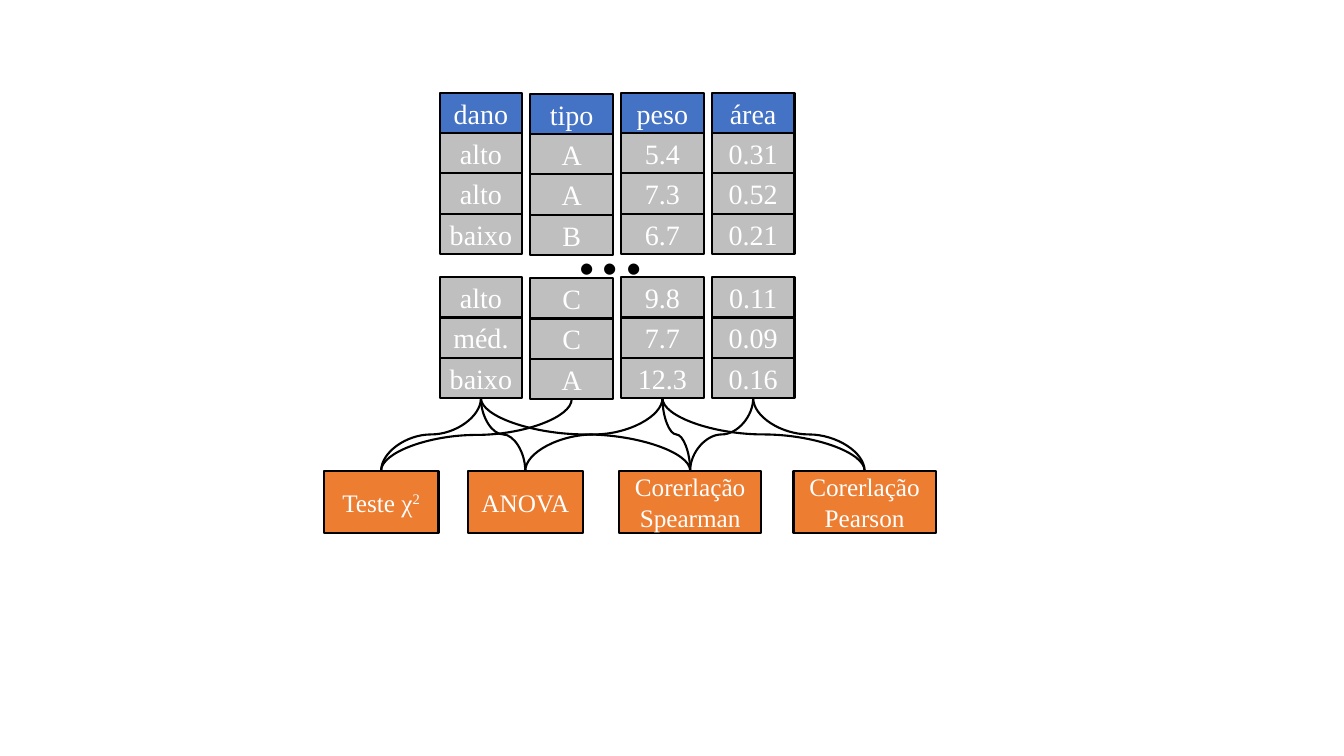
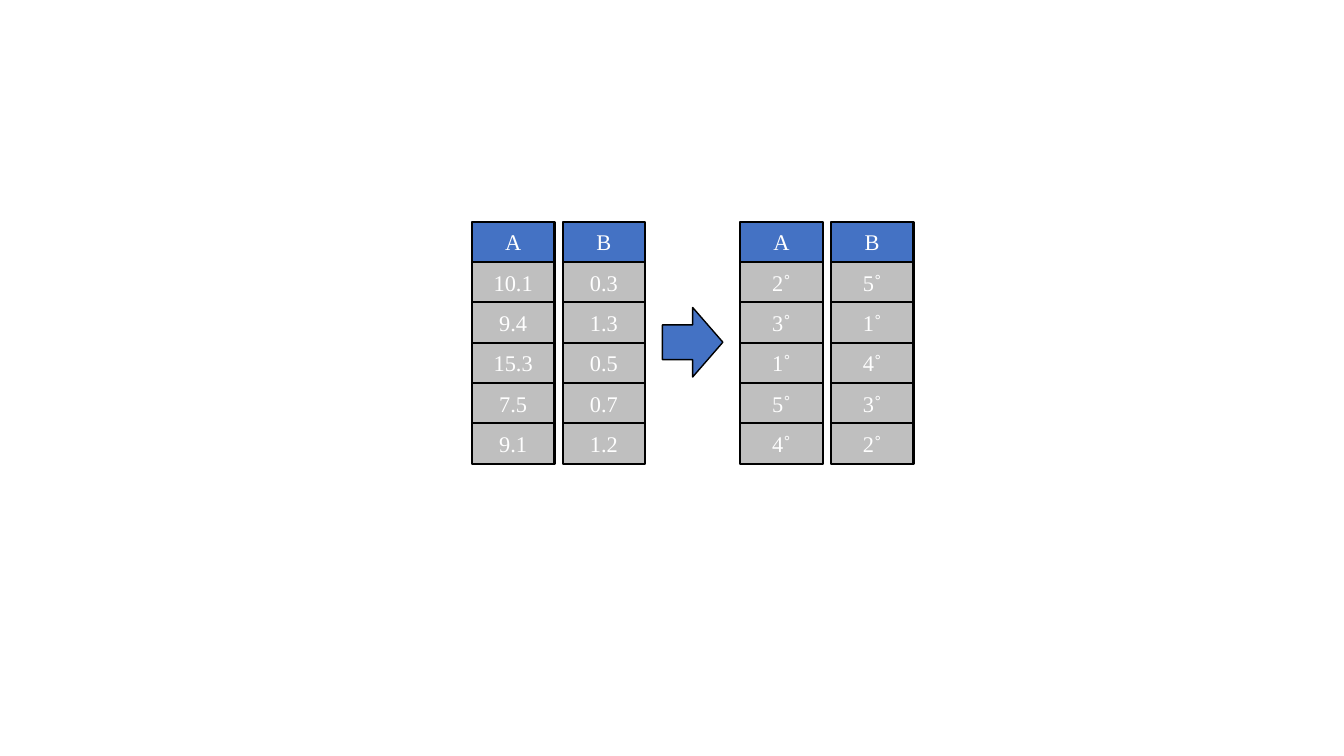
from pptx import Presentation
from pptx.dml.color import RGBColor
from pptx.enum.shapes import MSO_CONNECTOR, MSO_SHAPE
from pptx.enum.text import MSO_ANCHOR, MSO_AUTO_SIZE, PP_ALIGN
from pptx.oxml.ns import qn
from pptx.util import Inches, Pt
from lxml.etree import SubElement

# Shared style
BLUE, GRAY, ORANGE = "4472C4", "BFBFBF", "ED7D31"
BLACK, WHITE = "000000", "FFFFFF"
SERIF, SANS = "Times New Roman", "Calibri"
CELL_WIDTH, CELL_HEIGHT = 0.82, 0.4
COLUMN_STEP = 0.9


def color(hex_value):
    return RGBColor.from_string(hex_value)


class Painter:
    def __init__(self, deck):
        self.deck = deck
        self.page = None

    def new_page(self):
        self.page = self.deck.slides.add_slide(self.deck.slide_layouts[6])

    def style_text(self, frame, font, size, text_color):
        for para in frame.paragraphs:
            para.alignment = PP_ALIGN.CENTER
            for span in para.runs:
                span.font.name = font
                span.font.size = Pt(size)
                span.font.color.rgb = color(text_color)

    def shape(self, kind, left, top, width, height, fill, line_width=1.5):
        box = self.page.shapes.add_shape(
            kind, Inches(left), Inches(top), Inches(width), Inches(height))
        box.shadow.inherit = False
        box.fill.solid()
        box.fill.fore_color.rgb = color(fill)
        box.line.color.rgb = color(BLACK)
        box.line.width = Pt(line_width)
        return box

    def box(self, left, top, width, height, fill, text, size, superscript=""):
        box = self.shape(MSO_SHAPE.RECTANGLE, left, top, width, height, fill)
        frame = box.text_frame
        frame.word_wrap = True
        frame.vertical_anchor = MSO_ANCHOR.MIDDLE
        frame.margin_left = frame.margin_right = Inches(0.05)
        frame.text = text
        if superscript:
            span = frame.paragraphs[0].add_run()
            span.text = superscript
            span.font._element.set("baseline", "30000")
        self.style_text(frame, SERIF, size, WHITE)

    def column(self, left, top, header, values, size, split=None, gap=0):
        """Stack a header and its values, with a gap after `split` rows."""
        for row, text in enumerate([header] + values):
            shift = gap if split and row >= split else 0
            self.box(left, top + row * CELL_HEIGHT + shift, CELL_WIDTH,
                     CELL_HEIGHT, BLUE if row == 0 else GRAY, text, size)

    def label(self, left, top, width, height, text, size):
        box = self.page.shapes.add_textbox(
            Inches(left), Inches(top), Inches(width), Inches(height))
        frame = box.text_frame
        frame.word_wrap = True
        frame.auto_size = MSO_AUTO_SIZE.SHAPE_TO_FIT_TEXT
        frame.text = text
        self.style_text(frame, SANS, size, BLACK)

    def drop_curve(self, start_x, start_y, end_x, end_y):
        """Draw a curve that leaves and arrives vertically."""
        middle_x, middle_y = (start_x + end_x) / 2, (start_y + end_y) / 2
        half_drop, half_run = (end_y - start_y) / 2, abs(end_x - start_x) / 2
        rightward = end_x > start_x
        # The unrotated curve is flipped and turned a quarter around its centre
        reach = -half_drop if rightward else half_drop
        curve = self.page.shapes.add_connector(
            MSO_CONNECTOR.CURVE,
            Inches(middle_x - reach), Inches(middle_y - half_run),
            Inches(middle_x + reach), Inches(middle_y + half_run))
        curve.line.color.rgb = color(BLACK)
        curve.line.width = Pt(1.5)
        properties = curve._element.spPr
        properties.find(qn("a:xfrm")).set(
            "rot", "16200000" if rightward else "5400000")
        SubElement(properties, qn("a:effectLst"))


deck = Presentation()
deck.slide_width, deck.slide_height = Inches(13.33), Inches(7.5)
painter = Painter(deck)

# Slide 1: variables and the tests that relate them
painter.new_page()
variables = {
    "dano": (0.92, ["alto", "alto", "baixo", "alto", "méd.", "baixo"]),
    "tipo": (0.93, ["A", "A", "B", "C", "C", "A"]),
    "peso": (0.92, ["5.4", "7.3", "6.7", "9.8", "7.7", "12.3"]),
    "área": (0.92, ["0.31", "0.52", "0.21", "0.11", "0.09", "0.16"]),
}
ROW_GAP = 0.23
starts = {}
for index, (name, (top, values)) in enumerate(variables.items()):
    left = 4.36 + index * COLUMN_STEP
    painter.column(left, top, name, values, 20, split=4, gap=ROW_GAP)
    bottom = top + (len(values) + 1) * CELL_HEIGHT + ROW_GAP
    starts[name] = (left + CELL_WIDTH / 2, bottom)
painter.label(5.02, 1.76, 2.07, 1.21, "...", 66)

# Tests: left, width, text, superscript, variables used
TEST_TOP = 4.67
tests = [
    (3.21, 1.14, "Teste χ", "2", ["dano", "tipo"]),
    (4.64, 1.14, "ANOVA", "", ["dano", "peso"]),
    (6.14, 1.41, "Corerlação Spearman", "", ["dano", "peso", "área"]),
    (7.87, 1.41, "Corerlação Pearson", "", ["peso", "área"]),
]
for left, width, text, superscript, used in tests:
    painter.box(left, TEST_TOP, width, 0.62, ORANGE, text, 18, superscript)
    for name in used:
        painter.drop_curve(*starts[name], left + width / 2, TEST_TOP)

# Slide 2: values turned into ranks
painter.new_page()
tables = [
    (4.68, {"A": ["10.1", "9.4", "15.3", "7.5", "9.1"],
            "B": ["0.3", "1.3", "0.5", "0.7", "1.2"]}),
    (7.34, {"A": ["2˚", "3˚", "1˚", "5˚", "4˚"],
            "B": ["5˚", "1˚", "4˚", "3˚", "2˚"]}),
]
for table_left, columns in tables:
    for index, (header, values) in enumerate(columns.items()):
        painter.column(table_left + index * COLUMN_STEP, 2.2, header, values, 16)
painter.shape(MSO_SHAPE.RIGHT_ARROW, 6.57, 3.05, 0.6, 0.69, BLUE, 1)

deck.save("out.pptx")
